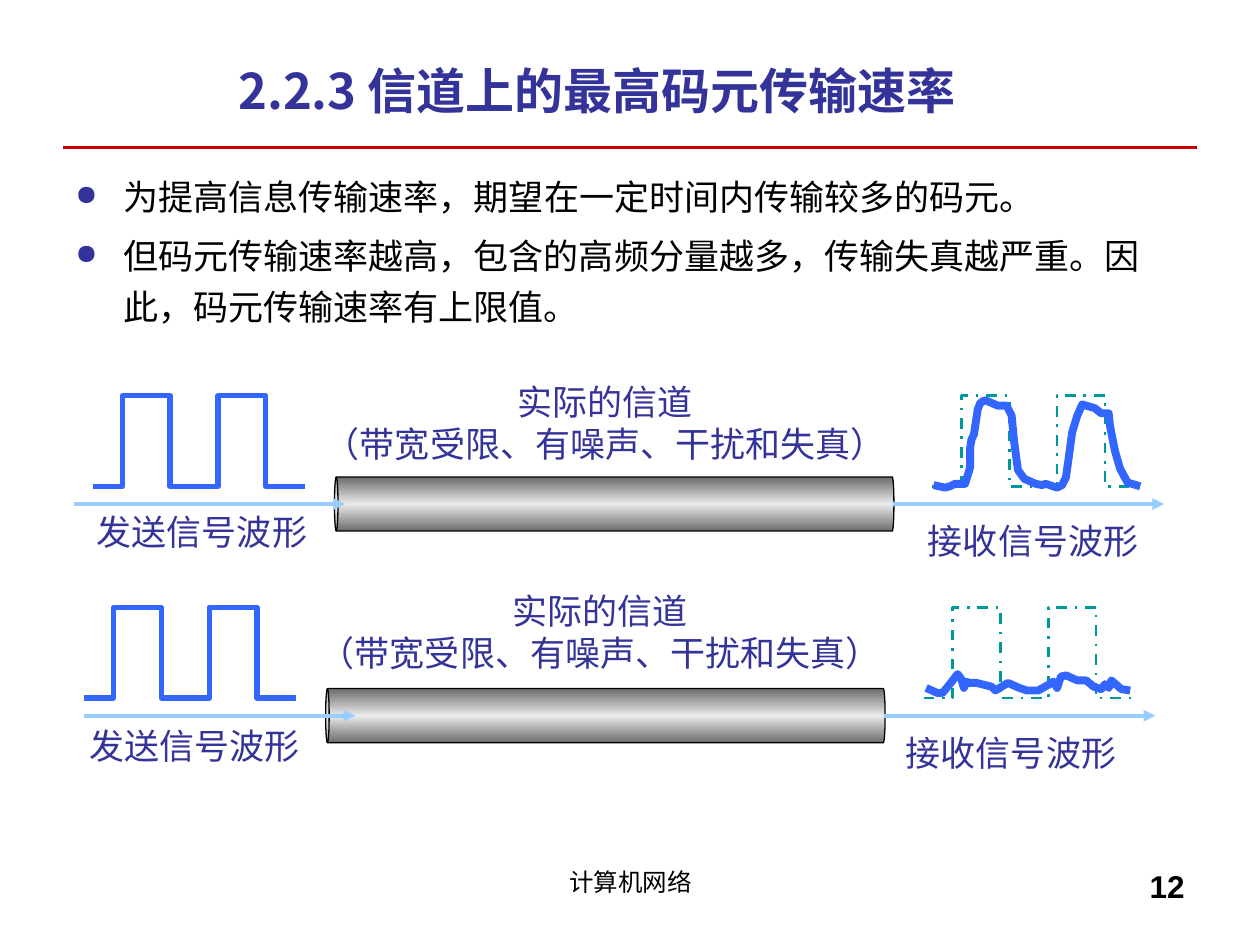
from copy import deepcopy
from dataclasses import dataclass

from lxml import etree
from pptx import Presentation
from pptx.dml.color import RGBColor
from pptx.enum import dml, shapes, text
from pptx.oxml import ns
from pptx.util import Inches, Pt


@dataclass(frozen=True)
class Theme:
    ink: str = "000000"
    navy: str = "333399"
    red: str = "CC0000"
    blue: str = "3366FF"
    sky: str = "99CCFF"
    teal: str = "009999"
    dark: str = "6C6C6C"
    light: str = "EAEAEA"
    sans: str = "Noto Sans CJK SC"
    serif: str = "Times New Roman"
    arial: str = "Arial"
    head: int = 28
    body: int = 20
    page: int = 18
    foot: int = 14


T = Theme()
LEFT, MID, RIGHT = (text.PP_ALIGN.LEFT, text.PP_ALIGN.CENTER,
                    text.PP_ALIGN.RIGHT)

HIGH = [
    (7.41, 3.85), (7.5, 3.87), (7.54, 3.86), (7.58, 3.84), (7.66, 3.84),
    (7.7, 3.71), (7.7, 3.56), (7.71, 3.49), (7.73, 3.45), (7.75, 3.32),
    (7.76, 3.25), (7.78, 3.2), (7.81, 3.18), (7.83, 3.18), (7.92, 3.22),
    (7.99, 3.22), (8.03, 3.3), (8.05, 3.51), (8.08, 3.73), (8.13, 3.8),
    (8.22, 3.84), (8.27, 3.85), (8.3, 3.84), (8.39, 3.87), (8.43, 3.85),
    (8.44, 3.83), (8.46, 3.79), (8.48, 3.65), (8.51, 3.43), (8.55, 3.3),
    (8.59, 3.21), (8.69, 3.24), (8.74, 3.28), (8.8, 3.28), (8.81, 3.38),
    (8.85, 3.58), (8.89, 3.72), (8.95, 3.83), (9.05, 3.86),
]
FLAT = [
    (7.35, 5.46), (7.44, 5.5), (7.48, 5.5), (7.53, 5.44), (7.6, 5.35),
    (7.63, 5.39), (7.65, 5.46), (7.67, 5.41), (7.69, 5.42), (7.75, 5.42),
    (7.87, 5.45), (7.9, 5.48), (8, 5.42), (8.09, 5.46), (8.15, 5.48),
    (8.24, 5.48), (8.33, 5.43), (8.36, 5.41), (8.39, 5.46), (8.42, 5.37),
    (8.46, 5.36), (8.55, 5.4), (8.62, 5.4), (8.68, 5.45), (8.74, 5.47),
    (8.77, 5.43), (8.8, 5.46), (8.82, 5.4), (8.9, 5.47), (8.97, 5.48),
]


def style(font, size, color, name=None, bold=False):
    font.size, font.bold = Pt(size), bold
    font.color.rgb = RGBColor.from_string(color)
    if name:
        font.name = name


def stroke(line, color, width):
    line.color.rgb = RGBColor.from_string(color)
    line.width = Pt(width)


def frame(host, box, wrap=True):
    tf = host.add_textbox(*map(Inches, box)).text_frame
    tf.word_wrap = wrap
    return tf


def label(host, box, lines, size, color, name, align=MID, bold=False,
          wrap=True):
    tf = frame(host, box, wrap)
    tf.text = "\n".join(lines)
    for par in tf.paragraphs:
        par.alignment = align
        style(par.font, size, color, name, bold)
    return tf


def bullet(par):
    props = par._p.get_or_add_pPr()
    props.set("marL", str(Inches(0.38)))
    props.set("indent", str(-Inches(0.38)))
    color = etree.SubElement(props, ns.qn("a:buClr"))
    etree.SubElement(color, ns.qn("a:srgbClr"), val=T.navy)
    etree.SubElement(props, ns.qn("a:buSzPct"), val="80000")
    etree.SubElement(props, ns.qn("a:buChar"), char="●")
    par.line_spacing = 1.2


def points(host):
    tf = frame(host, (0.5, 1.28, 8.89, 2.44))
    first, last = tf.paragraphs[0], tf.add_paragraph()
    for par in (first, last):
        bullet(par)
    last.space_before = Pt(5)
    style(first.font, T.body, T.ink)
    for words, name in (("为提高", T.serif), ("信息传输速率", T.sans),
                        ("，期望在一定时间内传输较多的码元。", T.serif)):
        run = first.add_run()
        run.text = words
        style(run.font, T.body, T.ink, name)
    last.add_run().text = ("但码元传输速率越高，包含的高频分量越多，传输失真越严重。"
                           "因此，码元传输速率有上限值。")
    style(last.font, T.body, T.ink, T.serif)


def rule(host, x, y, width, color, weight, arrow=False):
    line = host.add_connector(shapes.MSO_CONNECTOR.STRAIGHT, Inches(x),
                              Inches(y), Inches(x + width), Inches(y))
    stroke(line.line, color, weight)
    if arrow:
        etree.SubElement(line.line._get_or_add_ln(), ns.qn("a:tailEnd"),
                         type="triangle")
    etree.SubElement(line._element.spPr, ns.qn("a:effectLst"))


def trace(host, spots, color, width, dash=None):
    spots = [(Inches(x), Inches(y)) for x, y in spots]
    pen = host.build_freeform(*spots[0])
    pen.add_line_segments(spots[1:], close=False)
    path = pen.convert_to_shape()
    path.shadow.inherit = False
    path.fill.background()
    stroke(path.line, color, width)
    if dash:
        path.line.dash_style = dash


def pulse(x, low):
    high = low - 0.72
    spots = [(x, low)]
    for rise in (0.23, 0.99):
        fall = rise + 0.38
        spots += [(x + rise, low), (x + rise, high),
                  (x + fall, high), (x + fall, low)]
    return spots + [(x + 1.68, low)]


def tube(host, x, y):
    can = host.add_shape(shapes.MSO_SHAPE.CAN, Inches(x), Inches(y),
                         Inches(0.43), Inches(4.44))
    can.rotation = 270
    can.adjustments[0] = 0.065
    can.shadow.inherit = False
    stroke(can.line, T.ink, 0.75)
    can.fill.gradient()
    can.fill.gradient_angle = 90
    grad = can._element.spPr.find(ns.qn("a:gradFill"))
    grad.set("rotWithShape", "0")
    stops = grad.find(ns.qn("a:gsLst"))
    stops.insert(1, deepcopy(stops[0]))
    for stop, spot, color in zip(can.fill.gradient_stops, (0, 0.5, 1),
                                 (T.dark, T.light, T.dark)):
        stop.position = spot
        stop.color.rgb = RGBColor.from_string(color)


def link(host, x, y, start, sent, got, note, signal):
    tube(host, x + 3.92, y - 1.36)
    trace(host, pulse(x, y + 0.72), T.blue, 3)
    rule(host, start, y + 0.86, 2.15, T.sky, 2.25, True)
    trace(host, pulse(x + 6.66, y + 0.72), T.teal, 1.5,
          dml.MSO_LINE.DASH_DOT)
    rule(host, x + 6.35, y + 0.86, 2.15, T.sky, 2.25, True)
    trace(host, signal, T.blue, 4.5)
    label(host, note, ["实际的信道", "（带宽受限、有噪声、干扰和失真）"],
          T.body, T.navy, T.serif, wrap=False)
    label(host, sent, ["发送信号波形"], T.body, T.navy, T.sans, LEFT,
          wrap=False)
    label(host, got, ["接收信号波形"], T.body, T.navy, T.sans)


def main():
    deck = Presentation()
    deck.slide_width, deck.slide_height = Inches(10), Inches(7.5)
    host = deck.slides.add_slide(deck.slide_layouts[6]).shapes
    rule(host, 0.5, 1.17, 9, T.red, 2)
    label(host, (3.42, 6.83, 3.17, 0.52), ["计算机网络"], T.foot, T.ink,
          T.arial)
    label(host, (7.17, 6.83, 2.33, 0.52), ["12"], T.page, T.ink, T.arial,
          RIGHT, True)
    title = label(host, (0.5, 0.36, 8.47, 0.71),
                  ["2.2.3 信道上的最高码元传输速率"], T.head, T.navy, T.sans,
                  bold=True)
    title.vertical_anchor = text.MSO_ANCHOR.MIDDLE
    points(host)
    link(host, 0.74, 3.14, 0.59, (0.67, 4, 1.87, 0.44),
         (7.15, 4.07, 2.1, 0.44), (2.48, 2.97, 4.65, 0.77), HIGH)
    link(host.add_group_shape().shapes, 0.67, 4.82, 0.67,
         (0.61, 5.7, 1.87, 0.44), (7.01, 5.76, 2.03, 0.44),
         (2.44, 4.63, 4.65, 0.77), FLAT)
    deck.save("out.pptx")


if __name__ == "__main__":
    main()
